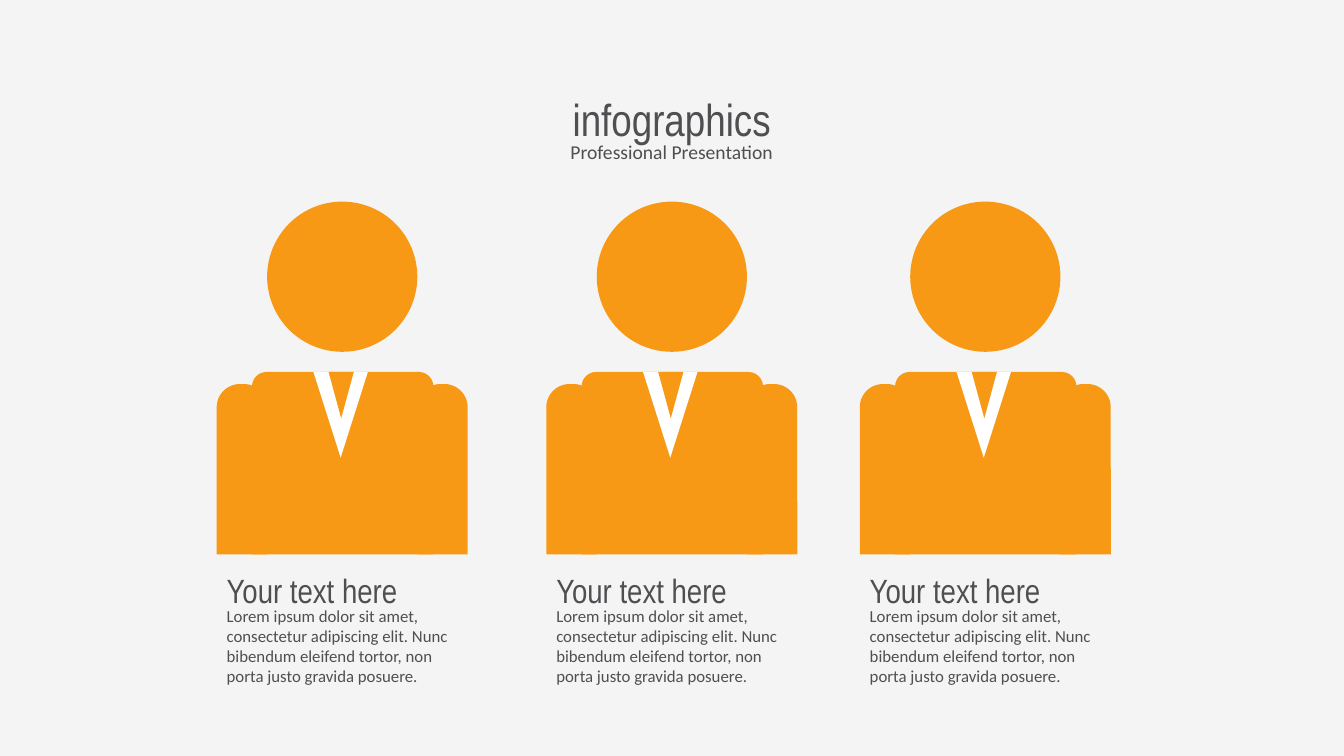
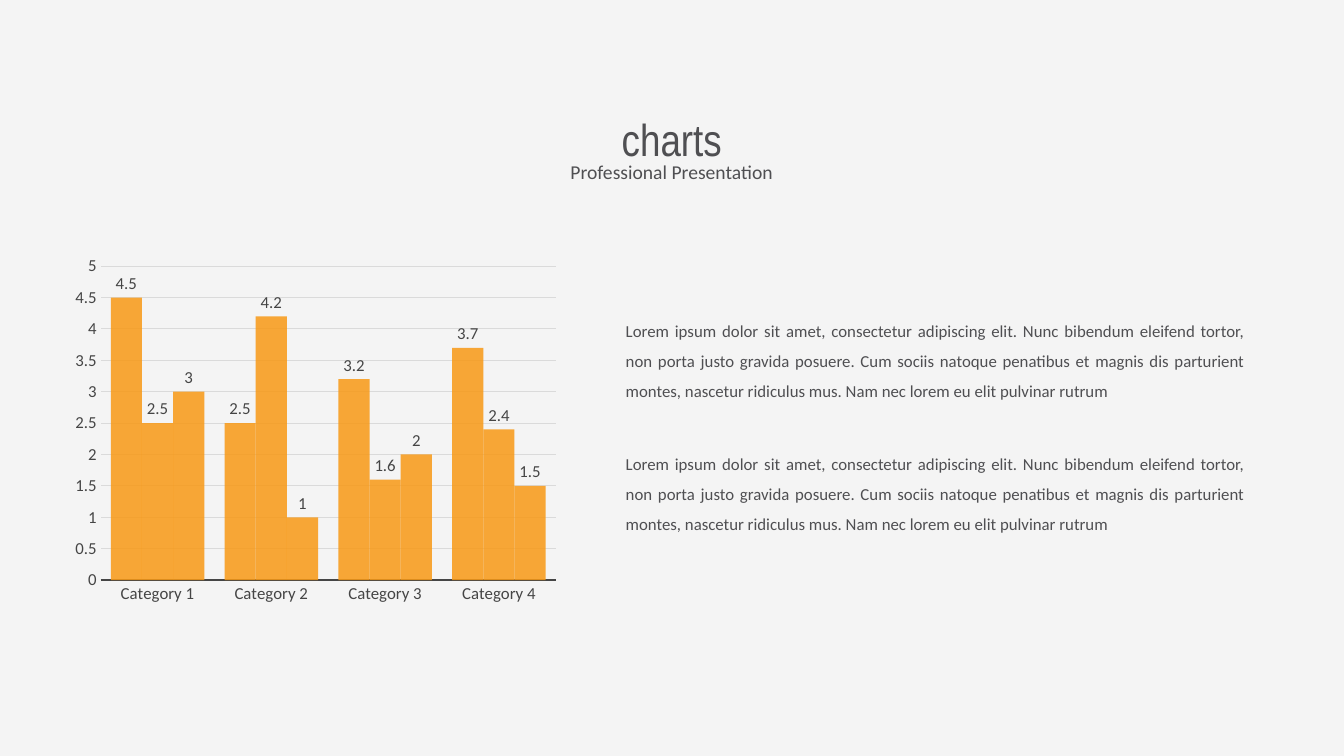
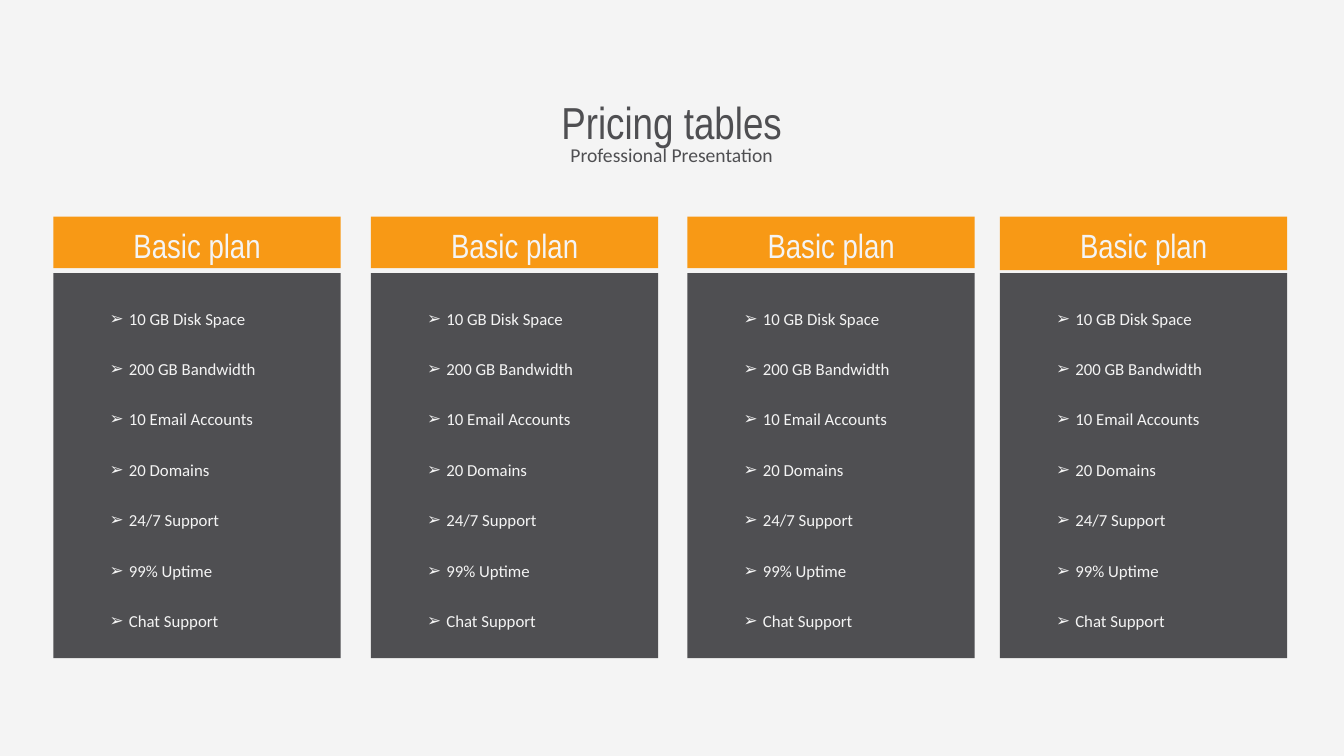
from lxml import etree
from pptx import Presentation
from pptx.chart.data import CategoryChartData
from pptx.dml.color import RGBColor
from pptx.enum.chart import XL_CHART_TYPE, XL_LABEL_POSITION, XL_TICK_MARK
from pptx.enum.shapes import MSO_SHAPE
from pptx.enum.text import MSO_ANCHOR, MSO_AUTO_SIZE, PP_ALIGN
from pptx.oxml import parse_xml
from pptx.oxml.ns import nsdecls, qn
from pptx.util import Emu, Inches, Pt

# Shared look
ORANGE = RGBColor(0xF8, 0x99, 0x15)
DARK = RGBColor(0x4F, 0x4F, 0x52)
PALE = RGBColor(0xF4, 0xF4, 0xF4)
WHITE = RGBColor(0xFF, 0xFF, 0xFF)
INK = RGBColor(0x45, 0x45, 0x45)
BLACK = RGBColor(0x07, 0x07, 0x07)
RULE = RGBColor(0xDA, 0xDA, 0xDA)
RECT, OVAL = MSO_SHAPE.RECTANGLE, MSO_SHAPE.OVAL
ROUND, VEE = MSO_SHAPE.ROUND_2_SAME_RECTANGLE, MSO_SHAPE.FLOWCHART_MERGE
LEFT, MID, JUST = PP_ALIGN.LEFT, PP_ALIGN.CENTER, PP_ALIGN.JUSTIFY
TOP, GROW = MSO_ANCHOR.TOP, MSO_AUTO_SIZE.SHAPE_TO_FIT_TEXT
NONE, OUTSIDE = XL_TICK_MARK.NONE, XL_LABEL_POSITION.OUTSIDE_END
COLUMNS = XL_CHART_TYPE.COLUMN_CLUSTERED

HEAD = dict(name="Arial Narrow", size=Pt(32), color=DARK)
SUB = dict(name="Calibri", size=Pt(14), color=DARK)
NAME = dict(name="Arial Narrow", size=Pt(24), color=DARK)
BODY = dict(name="Calibri", size=Pt(12), color=DARK)
PLAN = NAME | dict(color=PALE)
ITEM = BODY | dict(color=PALE)
LABEL = BODY | dict(color=INK)

# Content
SUBTITLE = "Professional Presentation"
LOREM = ("Lorem ipsum dolor sit amet, consectetur adipiscing elit. Nunc bibendum "
         "eleifend tortor, non porta justo gravida posuere.")
LONG = LOREM + (" Cum sociis natoque penatibus et magnis dis parturient montes, "
                "nascetur ridiculus mus. Nam nec lorem eu elit pulvinar rutrum")
PEOPLE = [(x, "Your text here", LOREM) for x in (2.15, 5.42, 8.53)]
# Person parts: shape, offset from left, top, width, height, colour, corner
PARTS = [
    (ROUND, 0.35, 3.69, 1.8, 1.81, ORANGE, 0.08),
    (OVAL, 0.5, 2, 1.49, 1.49, ORANGE, None),
    (ROUND, 0, 3.81, 0.5, 1.69, ORANGE, 0.46),
    (ROUND, 1.99, 3.81, 0.5, 1.69, ORANGE, 0.46),
    (VEE, 0.96, 3.69, 0.54, 0.85, WHITE, None),
    (VEE, 1.11, 3.69, 0.25, 0.46, ORANGE, None),
]
CATS = [f"Category {n}" for n in range(1, 5)]
SERIES = {
    "Series 1": (4.5, 2.5, 3.2, 3.7),
    "Series 2": (2.5, 4.2, 1.6, 2.4),
    "Series 3": (3, 1, 2, 1.5),
}
FRAME = dict(x=0.055, y=0.051, w=0.78, h=0.833)
# Plans: left edge, height of the header
PLANS = [(0.53, 0.51), (3.68, 0.51), (6.82, 0.51), (9.92, 0.53)]
ITEMS = ["10 GB Disk Space", "200 GB Bandwidth", "10 Email Accounts",
         "20 Domains", "24/7 Support", "99% Uptime", "Chat Support"]


def style(font, look):
    for key, value in look.items():
        if key == "color":
            font.color.rgb = value
        else:
            setattr(font, key, value)


def write(shape, lines, look, align=LEFT, space=None):
    frame = shape.text_frame
    frame.word_wrap = True
    frame.vertical_anchor = TOP
    for i, line in enumerate(lines):
        para = frame.paragraphs[0] if i == 0 else frame.add_paragraph()
        para.alignment = align
        if space:
            para.line_spacing = space
        run = para.add_run()
        run.text = line
        style(run.font, look)
    return frame


def label(slide, at, lines, look, align=LEFT, space=None):
    box = slide.shapes.add_textbox(*map(Inches, at))
    frame = write(box, lines, look, align, space)
    frame.auto_size = GROW
    return frame


def block(slide, kind, at, color, corner=None):
    shape = slide.shapes.add_shape(kind, *map(Inches, at))
    shape.shadow.inherit = False
    shape.fill.solid()
    shape.fill.fore_color.rgb = color
    shape.line.fill.background()
    if corner:
        shape.adjustments[0] = corner
    return shape


def start(deck, title, top):
    """Add a slide with its title and subtitle."""
    slide = deck.slides.add_slide(deck.slide_layouts[5])
    head = slide.shapes.title
    head.left, head.top, head.width, head.height = map(
        Inches, (0.88, top, 11.57, 0.64))
    write(head, [title], HEAD, MID).auto_size = MSO_AUTO_SIZE.NONE
    label(slide, (0.88, top + 0.48, 11.57, 0.34), [SUBTITLE], SUB, MID)
    return slide


def bullets(frame):
    for para in frame.paragraphs:
        props = para._p.get_or_add_pPr()
        props.set("marL", str(Inches(0.19)))
        props.set("indent", str(-Inches(0.19)))
        etree.SubElement(props, qn("a:buFont")).set("typeface", "Arial")
        etree.SubElement(props, qn("a:buChar")).set("char", "➢")


def people(deck):
    slide = start(deck, "infographics", 0.86)
    for x, name, text in PEOPLE:
        for kind, dx, y, w, h, color, corner in PARTS:
            block(slide, kind, (x + dx, y, w, h), color, corner)
        label(slide, (x, 5.96, 2.48, 0.91), [text], BODY)
        label(slide, (x, 5.6, 2.48, 0.5), [name], NAME)


def columns(slide):
    data = CategoryChartData()
    data.categories = CATS
    for name, values in SERIES.items():
        data.add_series(name, values)
    at = map(Inches, (0.68, 2.45, 5.79, 3.74))
    chart = slide.shapes.add_chart(COLUMNS, *at, data).chart
    chart.has_legend = chart.has_title = False
    style(chart.font, dict(name="Calibri", size=Pt(10), color=BLACK))

    # Axes
    cat, val = chart.category_axis, chart.value_axis
    for axis in (cat, val):
        axis.major_tick_mark = axis.minor_tick_mark = NONE
        style(axis.tick_labels.font, LABEL)
    cat.format.line.color.rgb = INK
    cat.format.line.width = Pt(1.5)
    val.format.line.fill.background()
    val.minimum_scale, val.maximum_scale, val.major_unit = 0, 5, 0.5
    grid = val.major_gridlines.format.line
    grid.color.rgb, grid.width = RULE, Pt(0.75)

    # Columns and their values
    plot = chart.plots[0]
    plot.gap_width, plot.overlap, plot.vary_by_categories = 65, 0, False
    for series in plot.series:
        fill = series.format.fill
        fill.solid()
        fill.fore_color.rgb = ORANGE
        tone = series._element.find(".//" + qn("a:srgbClr"))
        etree.SubElement(tone, qn("a:alpha")).set("val", "85000")
        marks = series.data_labels
        marks.show_value, marks.position = True, OUTSIDE
        style(marks.font, LABEL)

    # Fixed inner plot area
    modes = '<c:layoutTarget val="inner"/><c:xMode val="edge"/><c:yMode val="edge"/>'
    sizes = "".join(f'<c:{key} val="{value}"/>' for key, value in FRAME.items())
    layout = parse_xml(f'<c:layout {nsdecls("c")}><c:manualLayout>{modes}{sizes}'
                       '</c:manualLayout></c:layout>')
    area = chart._chartSpace.find(".//" + qn("c:plotArea"))
    for old in area.findall(qn("c:layout")):
        area.remove(old)
    area.insert(0, layout)


def charts(deck):
    slide = start(deck, "charts", 1.06)
    columns(slide)
    for y in (3.03, 4.35):
        label(slide, (6.11, y, 6.34, 1.01), [LONG], BODY, JUST, 1.5)


def prices(deck):
    slide = start(deck, "Pricing tables", 0.89)
    for x, high in PLANS:
        block(slide, RECT, (x, 2.71, 2.85, 3.82), DARK)
        bullets(label(slide, (x + 0.46, 2.71, 1.93, 3.64), ITEMS, ITEM, space=2.5))
        head = block(slide, RECT, (x, 2.15, 2.85, high), ORANGE)
        write(head, ["Basic plan"], PLAN, MID).margin_top = Inches(0.08)


def main():
    deck = Presentation()
    deck.slide_width, deck.slide_height = Emu(12192000), Inches(7.5)
    back = deck.slide_master.background.fill
    back.solid()
    back.fore_color.rgb = PALE
    for build in (people, charts, prices):
        build(deck)
    deck.save("out.pptx")


if __name__ == "__main__":
    main()
